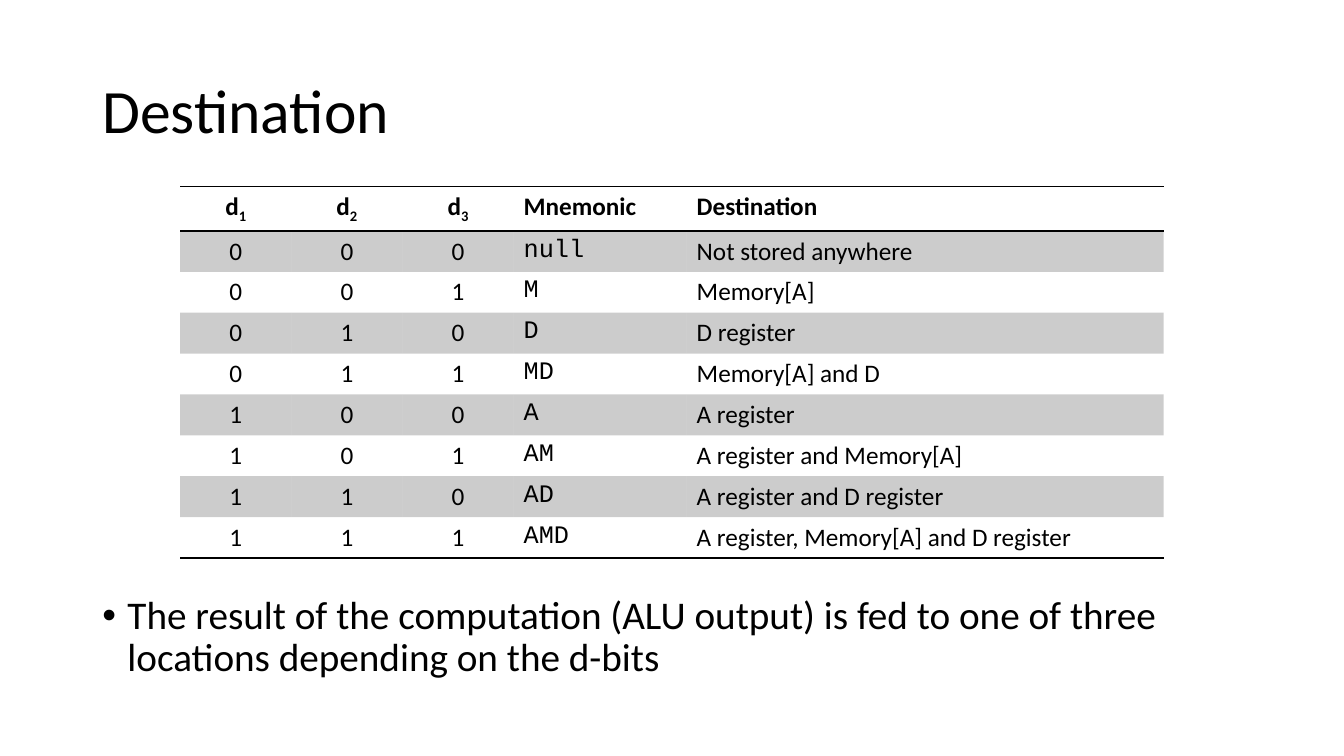
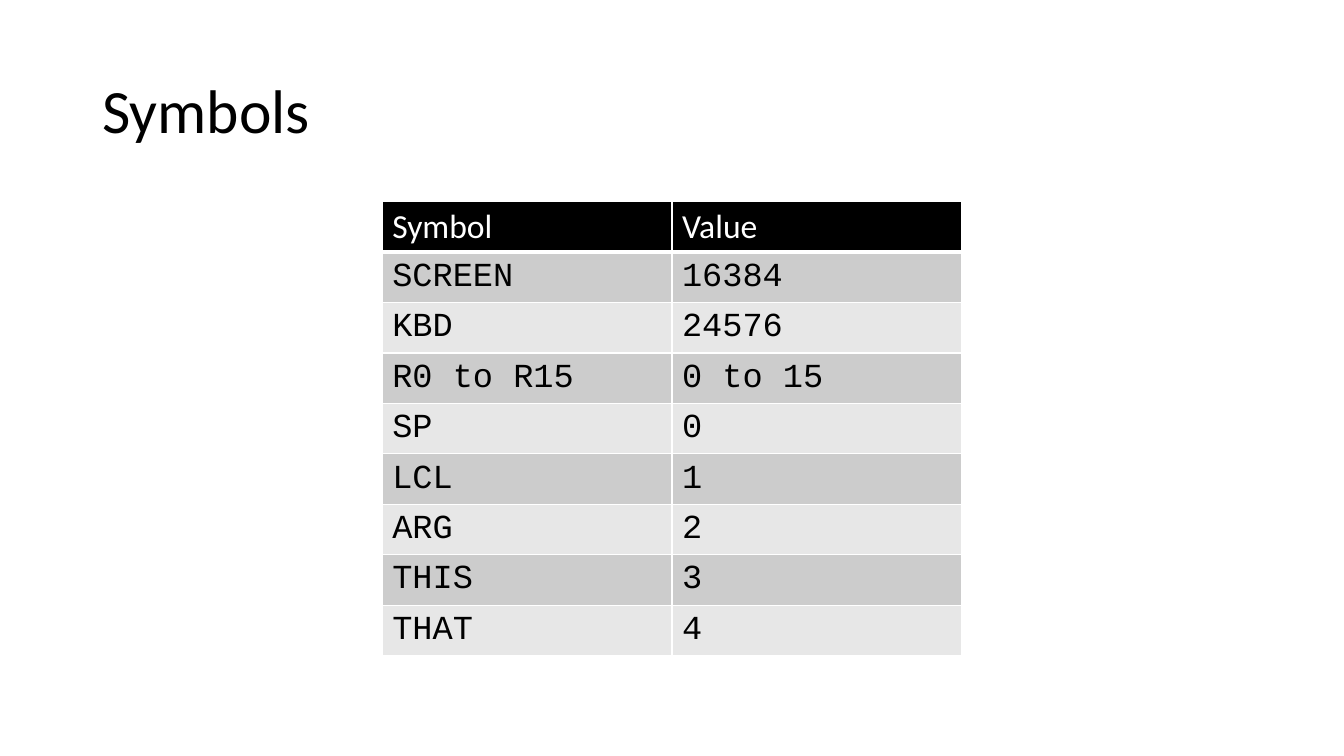
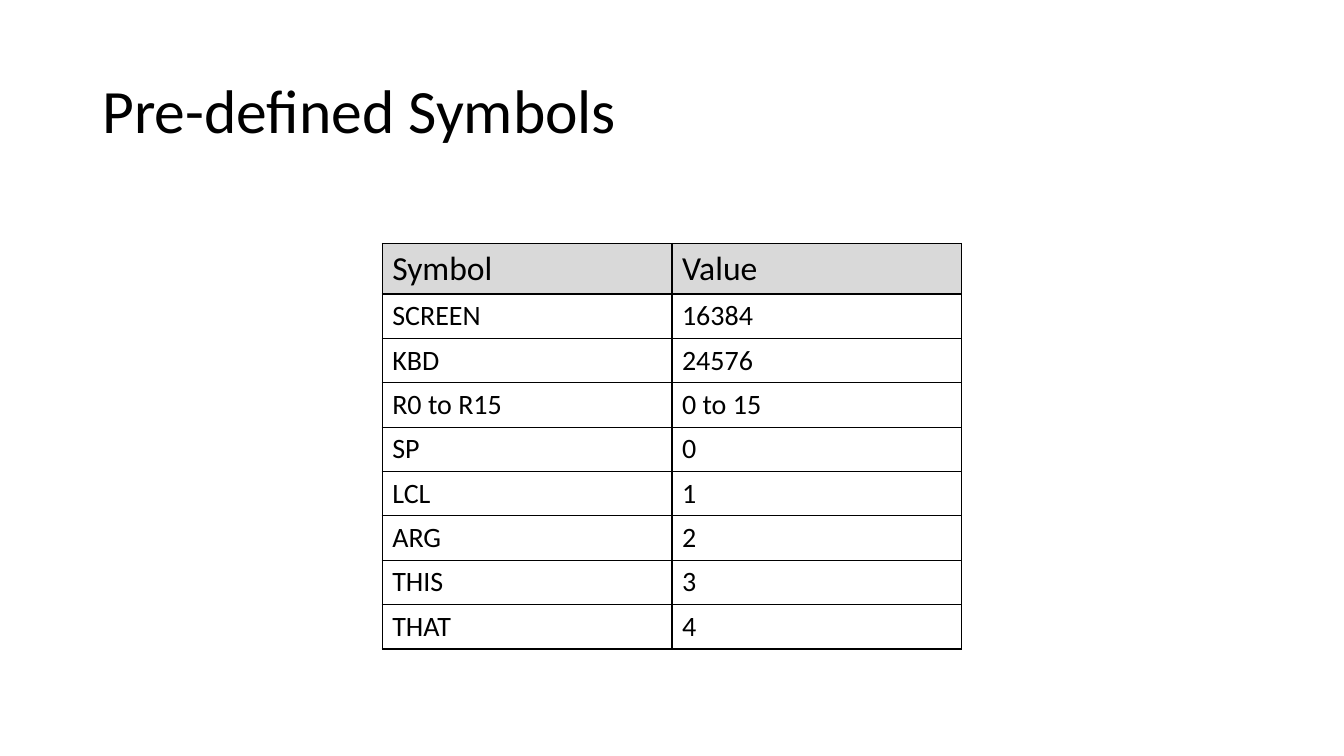
import lxml.etree
import pptx
import pptx.dml.color
import pptx.enum.text
import pptx.oxml.ns
import pptx.util

Pt = pptx.util.Pt
qn = pptx.oxml.ns.qn
ANCHOR = pptx.enum.text.MSO_ANCHOR
ALIGN = pptx.enum.text.PP_ALIGN

COLOURS = {
    "black": "000000",
    "white": "FFFFFF",
    "dark band": "CCCCCC",
    "light band": "E7E7E7",
    "grey head": "D9D9D9",
}
SANS, MONO = "Calibri", "Courier New"
NO_STYLE = "{2D5ABB26-0587-4C30-8999-92F81FD0307C}"
TITLE_FORMAT = {"name": SANS, "size": Pt(44)}
BULLET_FORMAT = {"name": SANS, "size": Pt(28)}


def write(para, text, values, colour="black"):
    """Add one formatted span to a paragraph."""
    span = para.add_run()
    span.text = text
    for name, value in values.items():
        setattr(span.font, name, value)
    span.font.color.rgb = pptx.dml.color.RGBColor.from_string(COLOURS[colour])
    return span


def add_box(page, left, top, width, height, anchor):
    """Add a wrapping text box and return its first paragraph."""
    frame = page.shapes.add_textbox(Pt(left), Pt(top), Pt(width), Pt(height)).text_frame
    frame.word_wrap = True
    frame.vertical_anchor = anchor
    para = frame.paragraphs[0]
    para.line_spacing = 0.9
    return para


# Table contents
destinations = [
    ("null", "Not stored anywhere"),
    ("M", "Memory[A]"),
    ("D", "D register"),
    ("MD", "Memory[A] and D"),
    ("A", "A register"),
    ("AM", "A register and Memory[A]"),
    ("AD", "A register and D register"),
    ("AMD", "A register, Memory[A] and D register"),
]
destination_rows = [("d1", "d2", "d3", "Mnemonic", "Destination")]
for number, names in enumerate(destinations):
    destination_rows.append((*f"{number:03b}", *names))

symbol_rows = [
    ("Symbol", "Value"),
    ("SCREEN", "16384"),
    ("KBD", "24576"),
    ("R0 to R15", "0 to 15"),
    ("SP", "0"),
    ("LCL", "1"),
    ("ARG", "2"),
    ("THIS", "3"),
    ("THAT", "4"),
]

# Slides: edges give line widths per side, bands alternate below the head
slides = [
    {
        "title": "Destination", "rows": destination_rows,
        "left": 128.7, "top": 133.2, "widths": [79.4, 79.4, 79.4, 123.6, 340.7],
        "head height": 31.2, "row height": 29.2, "anchor": ANCHOR.TOP,
        "head": {"name": SANS, "size": Pt(18), "bold": True}, "head colour": "black",
        "body": {"size": Pt(18)}, "fonts": [SANS, SANS, SANS, MONO, SANS],
        "head fill": None, "bands": ["black", None], "opacity": 20,
        "line": "black", "head edges": {"T": 1, "B": 1}, "body edges": {},
        "last edges": {"B": 1}, "centred": 3,
    },
    {
        "title": "Symbols", "rows": symbol_rows,
        "left": 273, "top": 144, "widths": [207, 207],
        "head height": 36, "row height": 34.4, "anchor": ANCHOR.MIDDLE,
        "head": {"name": SANS, "size": Pt(24)}, "head colour": "white",
        "body": {"size": Pt(24)}, "fonts": [MONO, MONO],
        "head fill": "black", "bands": ["dark band", "light band"], "opacity": 100,
        "line": "white", "head edges": {"L": 1, "R": 1, "T": 1, "B": 3},
        "body edges": dict.fromkeys("LRTB", 1),
        "last edges": dict.fromkeys("LRTB", 1), "centred": 0,
    },
    {
        "title": "Pre-defined Symbols", "rows": symbol_rows,
        "left": 273, "top": 174, "widths": [207, 207],
        "head height": 36, "row height": 31.7, "anchor": ANCHOR.MIDDLE,
        "head": {"name": SANS, "size": Pt(24)}, "head colour": "black",
        "body": {"size": Pt(20)}, "fonts": [SANS, SANS],
        "head fill": "grey head", "bands": [None], "opacity": 100,
        "line": "black", "head edges": dict.fromkeys("LRTB", 1),
        "body edges": dict.fromkeys("LRTB", 1),
        "last edges": dict.fromkeys("LRTB", 1), "centred": 0,
    },
]

deck = pptx.Presentation()
deck.slide_width, deck.slide_height = Pt(960), Pt(540)

for plan in slides:
    page = deck.slides.add_slide(deck.slide_layouts[6])
    write(add_box(page, 66, 28.8, 828, 104.4, ANCHOR.MIDDLE), plan["title"], TITLE_FORMAT)

    # Table frame
    rows, widths = plan["rows"], plan["widths"]
    heights = [plan["head height"]] + [plan["row height"]] * (len(rows) - 1)
    table = page.shapes.add_table(
        len(rows), len(widths), Pt(plan["left"]), Pt(plan["top"]),
        Pt(sum(widths)), Pt(sum(heights))).table
    table.horz_banding = False
    table._tbl.tblPr.find(qn("a:tableStyleId")).text = NO_STYLE
    for column, width in zip(table.columns, widths):
        column.width = Pt(width)
    for row, height in zip(table.rows, heights):
        row.height = Pt(height)

    # Cells
    for row_index, row in enumerate(rows):
        is_head = row_index == 0
        is_last = row_index == len(rows) - 1
        part = "head" if is_head else "last" if is_last else "body"
        bands = plan["bands"]
        fill = plan["head fill"] if is_head else bands[(row_index - 1) % len(bands)]
        for column_index, text in enumerate(row):
            cell = table.cell(row_index, column_index)
            cell.vertical_anchor = plan["anchor"]
            para = cell.text_frame.paragraphs[0]
            centred = column_index < plan["centred"]
            if centred:
                para.alignment = ALIGN.CENTER

            # Text, with the bit numbers of the head set low
            if is_head and centred:
                write(para, text[0], plan["head"])
                low = write(para, text[1], plan["head"])
                low._r.get_or_add_rPr().set("baseline", "-25000")
            elif is_head:
                write(para, text, plan["head"], plan["head colour"])
            else:
                write(para, text, {**plan["body"], "name": plan["fonts"][column_index]})

            # Borders come before the fill
            properties = cell._tc.get_or_add_tcPr()
            for side in "LRTB":
                weight = plan[part + " edges"].get(side)
                if weight:
                    line = lxml.etree.SubElement(properties, qn("a:ln" + side), w=str(Pt(weight)))
                    paint = lxml.etree.SubElement(line, qn("a:solidFill"))
                    lxml.etree.SubElement(paint, qn("a:srgbClr"), val=COLOURS[plan["line"]])
            if fill is None:
                cell.fill.background()
                continue
            cell.fill.solid()
            cell.fill.fore_color.rgb = pptx.dml.color.RGBColor.from_string(COLOURS[fill])
            if plan["opacity"] < 100:
                tint = properties.find(qn("a:solidFill")).find(qn("a:srgbClr"))
                lxml.etree.SubElement(tint, qn("a:alpha"), val=str(plan["opacity"] * 1000))

# Bullet under the destination table
para = add_box(deck.slides[0], 66, 422, 828, 71.3, ANCHOR.TOP)
properties = para._p.get_or_add_pPr()
properties.set("marL", str(Pt(18)))
properties.set("indent", str(Pt(-18)))
lxml.etree.SubElement(properties, qn("a:buFont"), typeface="Arial")
lxml.etree.SubElement(properties, qn("a:buChar"), char="•")
write(para, "The result of the computation (ALU output) is fed to one of three "
            "locations depending on the d-bits", BULLET_FORMAT)

deck.save("out.pptx")
